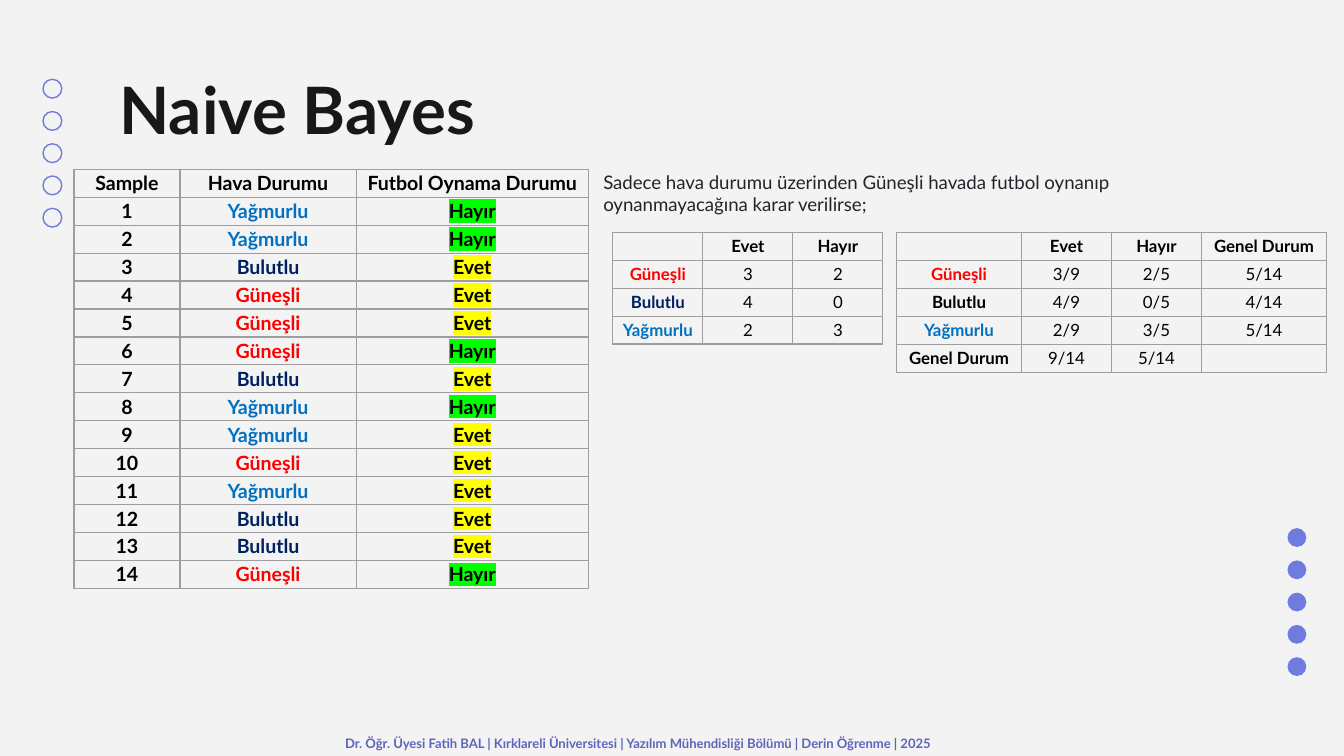
from lxml.etree import SubElement as Sub
from pptx import Presentation
from pptx.dml.color import RGBColor as RGB
from pptx.enum.shapes import MSO_SHAPE as Kind
from pptx.enum.text import MSO_ANCHOR as Anchor, PP_ALIGN as Align
from pptx.oxml.ns import qn
from pptx.util import Inches, Pt

COLORS = {
    "back": "F3F3F3", "dot": "707BE0", "title": "181818", "foot": "5D65BB",
    "body": "212529", "black": "000000", "grid": "9E9E9E", "sun": "FF0000",
    "rain": "0070C0", "cloud": "002060", "yes": "FFFF00", "no": "00FF00",
}
SKY = {"Güneşli": "sun", "Yağmurlu": "rain", "Bulutlu": "cloud"}
MARKS = {"Evet": "yes", "Hayır": "no"}


def color(name):
    return RGB.from_string(COLORS[name])


class Deck:
    font = "Lato"

    def __init__(self, wide, high):
        self.prs = Presentation()
        self.prs.slide_width = Inches(wide)
        self.prs.slide_height = Inches(high)
        self.slide = self.prs.slides.add_slide(self.prs.slide_layouts[6])
        fill = self.slide.background.fill
        fill.solid()
        fill.fore_color.rgb = color("back")

    def style(self, para, size, tint, bold):
        font = para.font
        font.name = self.font
        font.size = Pt(size)
        font.bold = bold
        font.color.rgb = color(tint)

    def dots(self, left, top, solid):
        for i in range(5):
            dot = self.slide.shapes.add_shape(
                Kind.OVAL, Inches(left), Inches(top + 0.24 * i),
                Inches(0.14), Inches(0.14))
            dot.shadow.inherit = False
            if solid:
                dot.fill.solid()
                dot.fill.fore_color.rgb = color("dot")
                dot.line.fill.background()
            else:
                dot.fill.background()
                dot.line.color.rgb = color("dot")
                dot.line.width = Pt(0.75)

    def text(self, words, place, size, tint, bold=False,
             anchor=Anchor.MIDDLE, pad=0.1, lead=None):
        box = self.slide.shapes.add_textbox(*map(Inches, place))
        frame = box.text_frame
        frame.word_wrap = True
        frame.vertical_anchor = anchor
        frame.margin_top = frame.margin_bottom = Inches(pad)
        para = frame.paragraphs[0]
        para.text = words
        para.line_spacing = lead
        self.style(para, size, tint, bold)

    def border(self, cell):
        props = cell._tc.get_or_add_tcPr()
        for i, side in enumerate(("lnL", "lnR", "lnT", "lnB")):
            line = Sub(props, qn("a:" + side), w=str(Pt(0.75)))
            fill = Sub(line, qn("a:solidFill"))
            Sub(fill, qn("a:srgbClr"), val=COLORS["grid"])
            props.insert(i, line)

    def mark(self, run, tint):
        light = Sub(run._r.get_or_add_rPr(), qn("a:highlight"))
        Sub(light, qn("a:srgbClr"), val=COLORS[tint])

    def cell(self, cell, words, size, tint, bold, mark):
        cell.fill.background()
        self.border(cell)
        cell.vertical_anchor = Anchor.MIDDLE
        cell.margin_left = cell.margin_right = 0
        cell.margin_top = cell.margin_bottom = 0
        para = cell.text_frame.paragraphs[0]
        para.text = words
        para.alignment = Align.CENTER
        self.style(para, size, tint, bold)
        if not words:
            Sub(para._p, qn("a:endParaRPr"), sz=str(size * 100))
        if mark:
            self.mark(para.runs[0], mark)

    def table(self, rows, left, top, cols, high, size, tints, marks=None):
        grid = self.slide.shapes.add_table(
            len(rows), len(cols), Inches(left), Inches(top),
            Inches(sum(cols)), Inches(high)).table
        grid.first_row = grid.horz_banding = False
        for col, wide in zip(grid.columns, cols):
            col.width = Inches(wide)
        for r, row in enumerate(rows):
            grid.rows[r].height = Inches(high / len(rows))
            for c, words in enumerate(row):
                bold = r == 0 or c == 0 or marks is not None
                mark = marks.get(words) if marks and r else None
                self.cell(grid.cell(r, c), words, size,
                          tints.get(words, "black"), bold, mark)


def main():
    deck = Deck(10, 10 * 9 / 16)
    deck.dots(0.32, 0.59, False)
    deck.dots(9.58, 3.93, True)
    deck.text("Naive Bayes", (0.79, 0.49, 8.43, 0.63), 35, "title", True)
    deck.text("Dr. Öğr. Üyesi Fatih BAL | Kırklareli Üniversitesi | "
              "Yazılım Mühendisliği Bölümü | Derin Öğrenme | 2025",
              (2.47, 5.42, 5.06, 0.2), 7, "foot", True, lead=1.15)
    deck.text("Sadece hava durumu üzerinden Güneşli havada futbol oynanıp "
              "oynanmayacağına karar verilirse;",
              (4.39, 1.22, 4.91, 0.44), 10, "body",
              anchor=Anchor.TOP, pad=0.05)

    sky = ("Yağmurlu Yağmurlu Bulutlu Güneşli Güneşli Güneşli Bulutlu "
           "Yağmurlu Yağmurlu Güneşli Yağmurlu Bulutlu Bulutlu Güneşli")
    days = [("Sample", "Hava Durumu", "Futbol Oynama Durumu")]
    for i, word in enumerate(sky.split(), 1):
        play = "Hayır" if i in (1, 2, 6, 8, 14) else "Evet"
        days.append((str(i), word, play))
    deck.table(days, 0.55, 1.26, (0.79, 1.31, 1.73), 3.12, 10.5, SKY, MARKS)

    counts = [
        ("", "Evet", "Hayır"),
        ("Güneşli", "3", "2"),
        ("Bulutlu", "4", "0"),
        ("Yağmurlu", "2", "3"),
    ]
    deck.table(counts, 4.56, 1.73, (0.67,) * 3, 0.83, 9, SKY)

    odds = [
        ("", "Evet", "Hayır", "Genel Durum"),
        ("Güneşli", "3/9", "2/5", "5/14"),
        ("Bulutlu", "4/9", "0/5", "4/14"),
        ("Yağmurlu", "2/9", "3/5", "5/14"),
        ("Genel Durum", "9/14", "5/14", ""),
    ]
    deck.table(odds, 6.67, 1.73, (0.93, 0.67, 0.67, 0.93), 1.04, 9,
               {**SKY, "Bulutlu": "black"})
    deck.prs.save("out.pptx")


if __name__ == "__main__":
    main()
